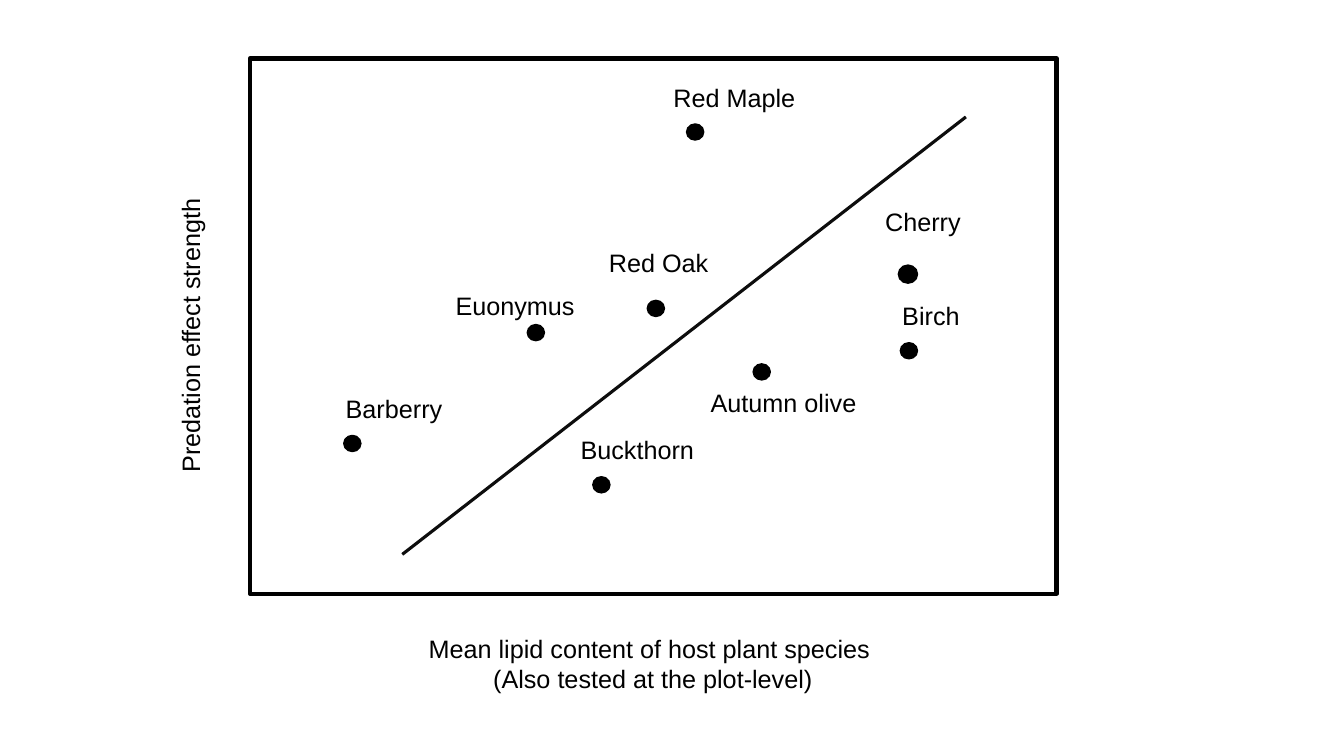
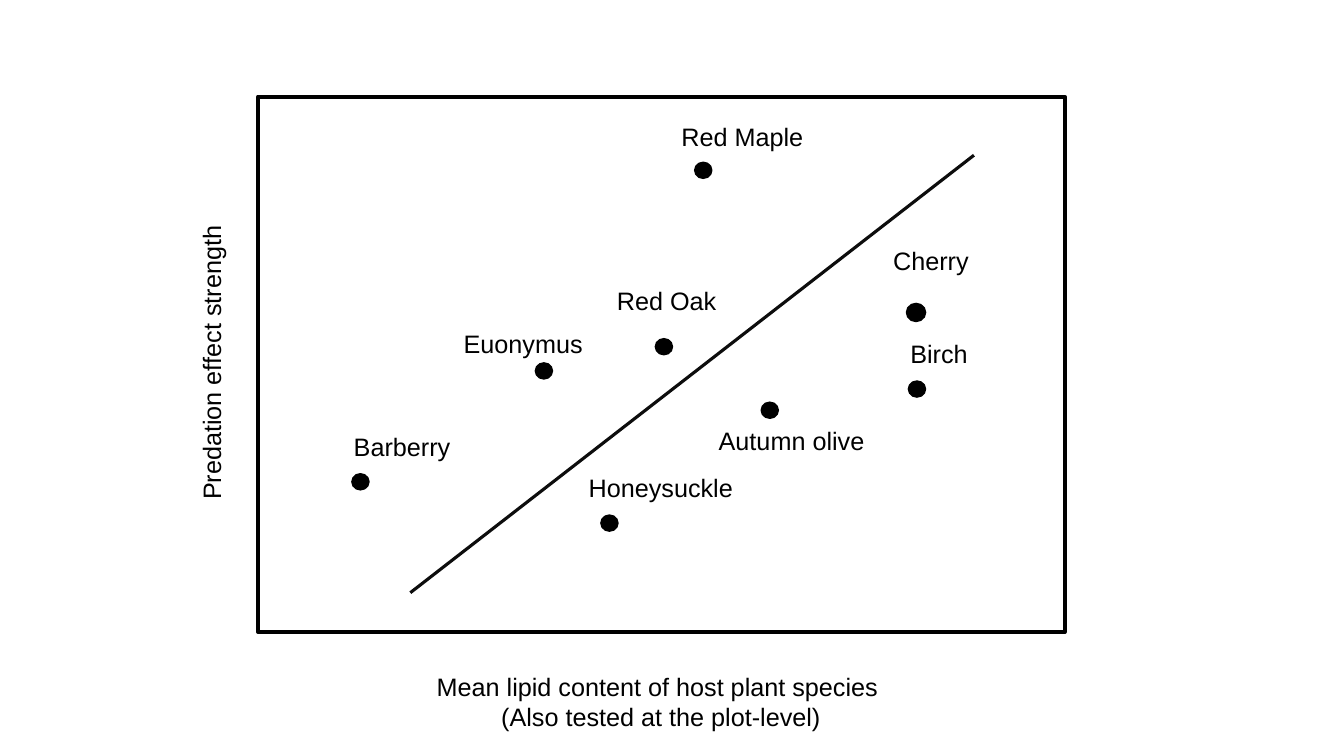
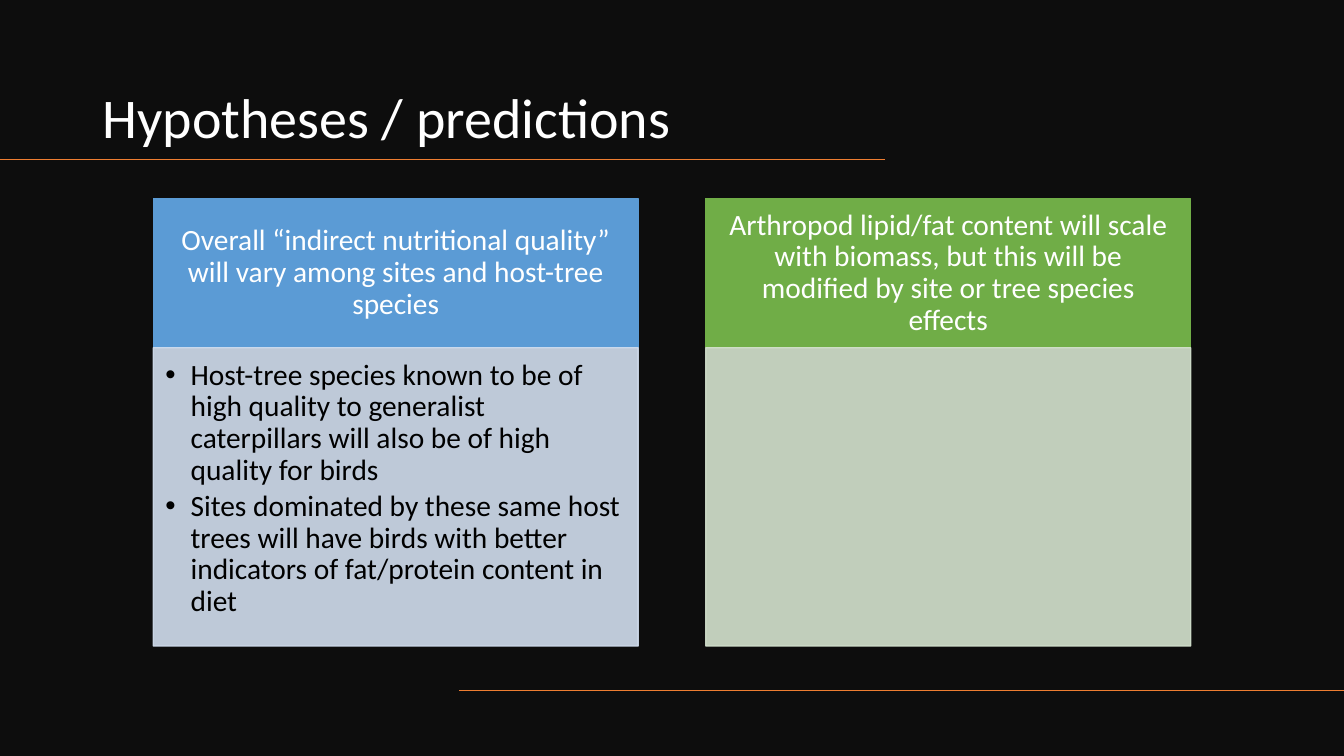
from lxml import etree
from pptx import Presentation
from pptx import util as u
from pptx.dml.color import RGBColor
from pptx.enum import shapes, text
from pptx.oxml import ns

PX = 9144
BLACK = RGBColor(0x00, 0x00, 0x00)
WHITE = RGBColor(0xFF, 0xFF, 0xFF)
INK = RGBColor(0x0D, 0x0D, 0x0D)
ORANGE = RGBColor(0xED, 0x7D, 0x31)
BLUE = RGBColor(0x5B, 0x9B, 0xD5)
PALE_BLUE = RGBColor(0xD2, 0xDE, 0xEF)
GREEN = RGBColor(0x70, 0xAD, 0x47)
PALE_GREEN = RGBColor(0xD5, 0xE3, 0xCF)

LEFT, CENTER = text.PP_ALIGN.LEFT, text.PP_ALIGN.CENTER
TOP, MIDDLE, BOTTOM = (text.MSO_ANCHOR.TOP, text.MSO_ANCHOR.MIDDLE,
                       text.MSO_ANCHOR.BOTTOM)
RECTANGLE, OVAL = shapes.MSO_SHAPE.RECTANGLE, shapes.MSO_SHAPE.OVAL

# name, label (left, top, width), dot (left, top, width, height)
SHARED_SPECIES = [
    ("Barberry", (85, 327, 131), (93, 374, 17, 16)),
    ("Euonymus", (194, 225, 197), (275, 264, 17, 16)),
    ("Autumn olive", (447, 321, 167), (499, 303, 17, 16)),
    ("Red Oak", (346, 182, 131), (394, 240, 17, 16)),
    ("Cherry", (620, 142, 131), (643, 205, 19, 18)),
    ("Red Maple", (410, 19, 195), (433, 65, 17, 16)),
    ("Birch", (637, 235, 131), (645, 282, 17, 16)),
]


def px(*lengths):
    """Turn px lengths into EMU."""
    return [u.Emu(length * PX) for length in lengths]


def add_bullet(para, indent):
    """Give a paragraph a hanging round bullet."""
    props = para._p.get_or_add_pPr()
    props.set("marL", str(indent * PX))
    props.set("indent", str(-indent * PX))
    etree.SubElement(props, ns.qn("a:buFont")).set("typeface", "Arial")
    etree.SubElement(props, ns.qn("a:buChar")).set("char", "•")


def write(box, *lines, font="Arial", size=18, color=BLACK, align=LEFT, anchor=TOP,
          insets=(10, 5, 10, 5), spacing=None, gap=0, bullet=0):
    """Write one paragraph per line into a box."""
    frame = box.text_frame
    frame.word_wrap = True
    frame.vertical_anchor = anchor
    (frame.margin_left, frame.margin_top,
     frame.margin_right, frame.margin_bottom) = px(*insets)
    for index, line in enumerate(lines):
        para = frame.add_paragraph() if index else frame.paragraphs[0]
        para.alignment = align
        if spacing:
            para.line_spacing = spacing
        if index and gap:
            para.space_before = u.Pt(gap)
        if bullet:
            add_bullet(para, bullet)
        span = para.add_run()
        span.text = line
        span.font.name = font
        span.font.size = u.Pt(size)
        span.font.color.rgb = color


def add_label(page, place, *lines, **style):
    """Add a text box with its text."""
    box = page.shapes.add_textbox(*px(*place))
    write(box, *lines, **style)
    return box


def add_panel(page, kind, place, fill, line, weight=1, opacity=100):
    """Add a flat shape; a fill of None leaves it hollow."""
    panel = page.shapes.add_shape(kind, *px(*place))
    panel.shadow.inherit = False
    if fill is None:
        panel.fill.background()
    else:
        panel.fill.solid()
        panel.fill.fore_color.rgb = fill
    panel.line.color.rgb = line
    panel.line.width = u.Pt(weight)
    if opacity < 100:
        for color in panel._element.spPr.iter(ns.qn("a:srgbClr")):
            etree.SubElement(color, ns.qn("a:alpha")).set("val", str(opacity * 1000))
    return panel


def add_line(page, start, end, color, weight=1):
    """Add a straight line without a shadow."""
    line = page.shapes.add_connector(
        shapes.MSO_CONNECTOR.STRAIGHT, *px(*start, *end))
    line.line.color.rgb = color
    line.line.width = u.Pt(weight)
    etree.SubElement(line._element.spPr, ns.qn("a:effectLst"))


def add_plot(page, left, top, species, axis_offset):
    """Draw the framed species plot with its axis titles and trend line."""
    add_panel(page, RECTANGLE, (left, top, 800, 531), None, BLACK, 3)
    add_label(page, (left + 66, top + 565, 667, 71),
              "Mean lipid content of host plant species ",
              "(Also tested at the plot-level)", align=CENTER)
    axis_x, axis_y = axis_offset
    axis = add_label(page, (left + axis_x, top + axis_y, 667, 40),
                     "Predation effect strength", align=CENTER)
    axis.rotation = 270
    add_line(page, (left + 151, top + 492), (left + 710, top + 58), INK, 2.25)
    for name, (label_x, label_y, label_width), (dot_x, dot_y, *dot_size) in species:
        add_label(page, (left + label_x, top + label_y, label_width, 40), name)
        add_panel(page, OVAL, (left + dot_x, top + dot_y, *dot_size), BLACK, BLACK)


def add_dark_theme(page, title):
    """Set the dark background, the title and the two orange rules."""
    page.background.fill.solid()
    page.background.fill.fore_color.rgb = INK
    add_label(page, (92, 42, 786, 112), title, font="Calibri", size=40,
              color=WHITE, anchor=BOTTOM, spacing=0.9)
    add_line(page, (878, 158), (0, 158), ORANGE)
    add_line(page, (1333, 685), (455, 685), ORANGE)


def add_card(page, left, top, heading, points, strong, pale):
    """Stack a coloured heading on a pale body of bullets."""
    width, head_height, body_height = 481, 148, 296
    head = add_panel(page, RECTANGLE, (left, top, width, head_height), strong, strong)
    write(head, heading, font="Calibri", size=21, color=WHITE, align=CENTER,
          anchor=MIDDLE, insets=(16, 9, 16, 9), spacing=0.9)
    body = add_panel(page, RECTANGLE, (left, top + head_height, width, body_height),
                     pale, pale, opacity=90)
    write(body, *points, font="Calibri", size=21, insets=(12, 12, 16, 18),
          spacing=0.9, gap=3, bullet=25)


def main():
    """Build and save the deck."""
    deck = Presentation()
    deck.slide_width, deck.slide_height = px(1333, 750)
    blank = deck.slide_layouts[6]

    plots = [
        ((248, 58), ("Buckthorn", (318, 368, 145), (340, 415, 17, 16)), (-393, 255)),
        ((256, 96), ("Honeysuckle", (318, 368, 180), (340, 415, 17, 16)), (-380, 244)),
    ]
    for (left, top), shrub, axis_offset in plots:
        add_plot(deck.slides.add_slide(blank), left, top,
                 SHARED_SPECIES + [shrub], axis_offset)

    page = deck.slides.add_slide(blank)
    add_dark_theme(page, "Hypotheses / predictions")
    cards = [
        ("Overall “indirect nutritional quality” will vary among sites and "
         "host-tree species",
         ["Host-tree species known to be of high quality to generalist "
          "caterpillars will also be of high quality for birds",
          "Sites dominated by these same host trees will have birds with better "
          "indicators of fat/protein content in diet"],
         BLUE, PALE_BLUE),
        ("Arthropod lipid/fat content will scale with biomass, but this will be "
         "modified by site or tree species effects",
         [], GREEN, PALE_GREEN),
    ]
    for index, card in enumerate(cards):
        add_card(page, 152 + 548 * index, 197, *card)

    deck.save("out.pptx")


if __name__ == "__main__":
    main()
